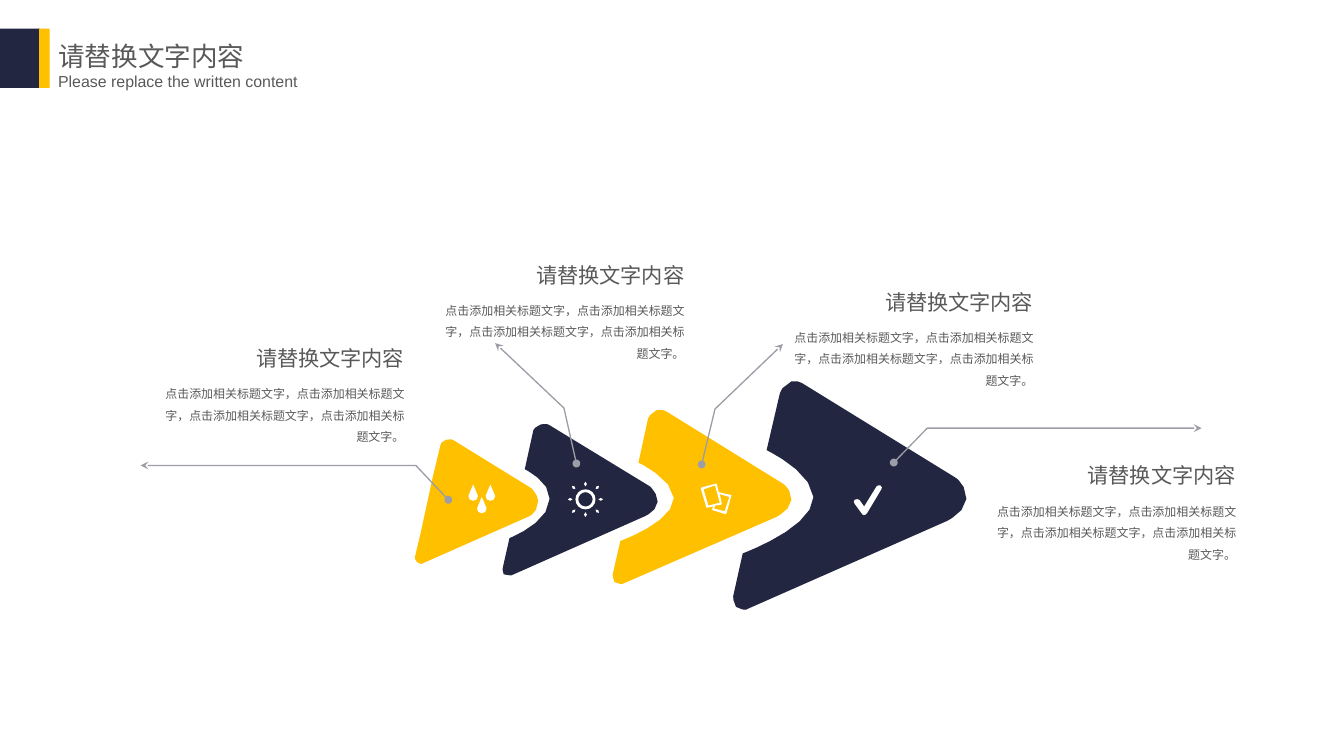
import math

import pptx
import pptx.dml.color
import pptx.enum.shapes
import pptx.enum.text
import pptx.oxml
import pptx.oxml.ns
import pptx.util

PX = 9144  # 100 px to the inch
NAVY = pptx.dml.color.RGBColor(0x23, 0x26, 0x41)
YELLOW = pptx.dml.color.RGBColor(0xFF, 0xC0, 0x00)
GRAY = pptx.dml.color.RGBColor(0x59, 0x59, 0x59)
LEADER = pptx.dml.color.RGBColor(0x9D, 0x9D, 0xA8)
WHITE = pptx.dml.color.RGBColor(0xFF, 0xFF, 0xFF)
ALIGN = pptx.enum.text.PP_ALIGN
ANCHOR = pptx.enum.text.MSO_ANCHOR

HEADING = "请替换文字内容"
BODY = "，".join(["点击添加相关标题文字"] * 4) + "。"

prs = pptx.Presentation()
prs.slide_width, prs.slide_height = 1406 * PX, 791 * PX
slide = prs.slides.add_slide(prs.slide_layouts[5])


def add_outline(contours, fill=None):
    """Draw contours of points (x, y) and Bezier steps (x1, y1, x2, y2, x, y).

    With a fill they are closed; without one they stay open lines."""
    builder = None
    for start, *steps in contours:
        points = [start]
        for step in steps:
            if len(step) == 2:
                points.append(step)
                continue
            curve = [points[-1], step[:2], step[2:4], step[4:]]
            span = max(abs(curve[3][axis] - curve[0][axis]) for axis in (0, 1))
            pieces = 2 + int(span / 13)
            for i in range(1, pieces + 1):
                t = i / pieces
                weights = [math.comb(3, k) * t**k * (1 - t) ** (3 - k) for k in range(4)]
                points.append(tuple(sum(w * p[axis] for w, p in zip(weights, curve))
                                    for axis in (0, 1)))
        points = [(x * PX, y * PX) for x, y in points]
        if builder is None:
            builder = slide.shapes.build_freeform(*points[0], scale=1.0)
        else:
            builder.move_to(*points[0])
        builder.add_line_segments(points[1:], close=fill is not None)
    outline = builder.convert_to_shape()
    outline.shadow.inherit = False
    if fill is None:
        outline.fill.background()
    else:
        outline.fill.solid()
        outline.fill.fore_color.rgb = fill
        outline.line.fill.background()
    return outline


def write(box, bounds, text, size, font, align, spacing=None, insets=(10, 5),
          anchor=ANCHOR.TOP, wrap=True):
    box.left, box.top, box.width, box.height = (v * PX for v in bounds)
    frame = box.text_frame
    frame.word_wrap = wrap
    frame.auto_size = (pptx.enum.text.MSO_AUTO_SIZE.NONE if wrap
                       else pptx.enum.text.MSO_AUTO_SIZE.SHAPE_TO_FIT_TEXT)
    frame.vertical_anchor = anchor
    frame.margin_left = frame.margin_right = insets[0] * PX
    frame.margin_top = frame.margin_bottom = insets[1] * PX
    paragraph = frame.paragraphs[0]
    paragraph.alignment = align
    if spacing:
        paragraph.line_spacing = spacing
    run = paragraph.add_run()
    run.text = text
    run.font.size = pptx.util.Pt(size)
    run.font.name = font
    run.font.color.rgb = GRAY


# Four growing arrowheads, largest first
arrowheads = [
    (NAVY, [(1011, 522), (1011, 535, 991, 545, 991, 545), (780, 638),
            (780, 638, 774, 638, 770, 635), (767, 631, 767, 624, 767, 624), (777, 579),
            (777, 579, 851, 552, 851, 520), (849, 493, 802, 471, 802, 471), (816, 411),
            (816, 411, 819, 402, 828, 399), (834, 397, 841, 402, 841, 402), (1000, 500),
            (1000, 500, 1011, 507, 1011, 522)]),
    (YELLOW, [(828, 523), (828, 533, 812, 541, 812, 541), (651, 611),
              (651, 611, 646, 611, 643, 609), (641, 606, 641, 601, 641, 601), (649, 566),
              (649, 566, 705, 546, 705, 521), (704, 501, 668, 484, 668, 484), (678, 438),
              (678, 438, 681, 431, 687, 429), (692, 427, 698, 431, 698, 431), (819, 506),
              (819, 506, 828, 511, 828, 523)]),
    (NAVY, [(688, 525), (688, 534, 675, 540, 675, 540), (535, 602),
            (535, 602, 530, 602, 527, 601), (525, 598, 526, 594, 526, 594), (533, 563),
            (533, 563, 575, 547, 575, 522), (576, 504, 549, 491, 549, 491), (558, 450),
            (558, 450, 561, 445, 566, 444), (571, 442, 575, 445, 575, 445), (680, 509),
            (680, 509, 688, 516, 688, 525)]),
    (YELLOW, [(453, 498), (461, 465), (461, 465, 462, 461, 467, 460),
              (471, 458, 475, 461, 475, 461), (556, 511), (556, 511, 563, 518, 563, 524),
              (563, 536, 554, 540, 554, 540), (441, 590), (441, 590, 438, 590, 436, 588),
              (434, 586, 434, 583, 434, 583), (440, 558)]),
]
for color, contour in arrowheads:
    add_outline([contour], color)

leaders = [
    [(935, 484), (970, 448), (1257, 448)],
    [(469, 523), (435, 487), (147, 487)],
    [(734, 486), (748, 428), (819, 360)],
    [(603, 485), (590, 427), (518, 359)],
]
for route in leaders:
    leader = add_outline([route])
    leader.line.color.rgb = LEADER
    leader.line.width = pptx.util.Pt(1)
    stroke = leader.element.spPr.find(pptx.oxml.ns.qn("a:ln"))
    for end, kind in (("headEnd", "oval"), ("tailEnd", "stealth")):
        stroke.append(pptx.oxml.parse_xml(
            f'<a:{end} {pptx.oxml.ns.nsdecls("a")} type="{kind}"/>'))

# Icons: drops, sun, cards, check mark
drops = [[(x, y), (x - 1, y + 6, x - 5, y + 8, x - 5, y + 12),
          (x - 5, y + 15, x - 3, y + 17, x, y + 17),
          (x + 3, y + 17, x + 5, y + 15, x + 5, y + 12),
          (x + 5, y + 8, x + 1, y + 6, x, y)]
         for x, y in ((495, 507), (513, 507), (504, 520))]

SUN_X, SUN_Y = 612.5, 522.5
circle = [i * math.pi / 8 for i in range(16)]
sun = [[(SUN_X + r * math.cos(a), SUN_Y + r * math.sin(a)) for a in circle]
       for r in (10.5, 7.5)]
for ray in range(8):
    turn = ray * math.pi / 4
    distance = 17.5 if ray % 2 else 16
    sun.append([(SUN_X + (distance + u) * math.cos(turn) - v * math.sin(turn),
                 SUN_Y + (distance + u) * math.sin(turn) + v * math.cos(turn))
                for u, v in ((-2.5, 0), (0, -1.5), (2.5, 0), (0, 1.5))])

cards = [
    [(765, 518), (752, 515), (750, 507), (749, 506), (734, 510), (733, 511), (739, 531),
     (740, 531), (746, 530), (745, 533), (746, 534), (759, 538), (760, 537), (765, 519)],
    [(736, 512), (748, 508), (753, 526), (741, 529)],
    [(758, 535), (747, 532), (748, 529), (755, 528), (755, 526), (753, 517), (763, 520)],
]
check = [[(904, 539), (903, 539, 902, 538, 902, 538), (894, 527),
          (893, 526, 893, 524, 894, 523), (896, 522, 898, 522, 899, 523), (904, 530),
          (917, 509), (918, 508, 920, 507, 921, 508), (923, 509, 923, 511, 922, 512),
          (907, 537), (906, 538, 905, 539, 904, 539)]]
for icon in (drops, sun, cards, check):
    add_outline(icon, WHITE)

for x, y in ((132, 355), (425, 268), (790, 296), (1002, 478)):
    write(slide.shapes.add_textbox(0, 0, 0, 0), (x, y, 291, 39), HEADING, 16, "Lato",
          ALIGN.RIGHT, insets=(0, 11), anchor=ANCHOR.MIDDLE)
    write(slide.shapes.add_textbox(0, 0, 0, 0), (x + 40, y + 42, 251, 63), BODY, 9,
          "Arial", ALIGN.RIGHT, spacing=1.5, insets=(0, 0))

write(slide.shapes.title, (51, 20, 217, 55), HEADING, 20, "Calibri", ALIGN.LEFT,
      spacing=1.5, wrap=False)
write(slide.shapes.add_textbox(0, 0, 0, 0), (51, 60, 273, 37),
      "Please replace the written content", 12, "Arial", ALIGN.LEFT,
      spacing=1.5, wrap=False)

for color, left, width in ((NAVY, 0, 42), (YELLOW, 41, 11)):
    bar = slide.shapes.add_shape(pptx.enum.shapes.MSO_SHAPE.RECTANGLE,
                                 left * PX, 30 * PX, width * PX, 62 * PX)
    bar.shadow.inherit = False
    bar.fill.solid()
    bar.fill.fore_color.rgb = color
    bar.line.fill.background()

prs.save("out.pptx")
